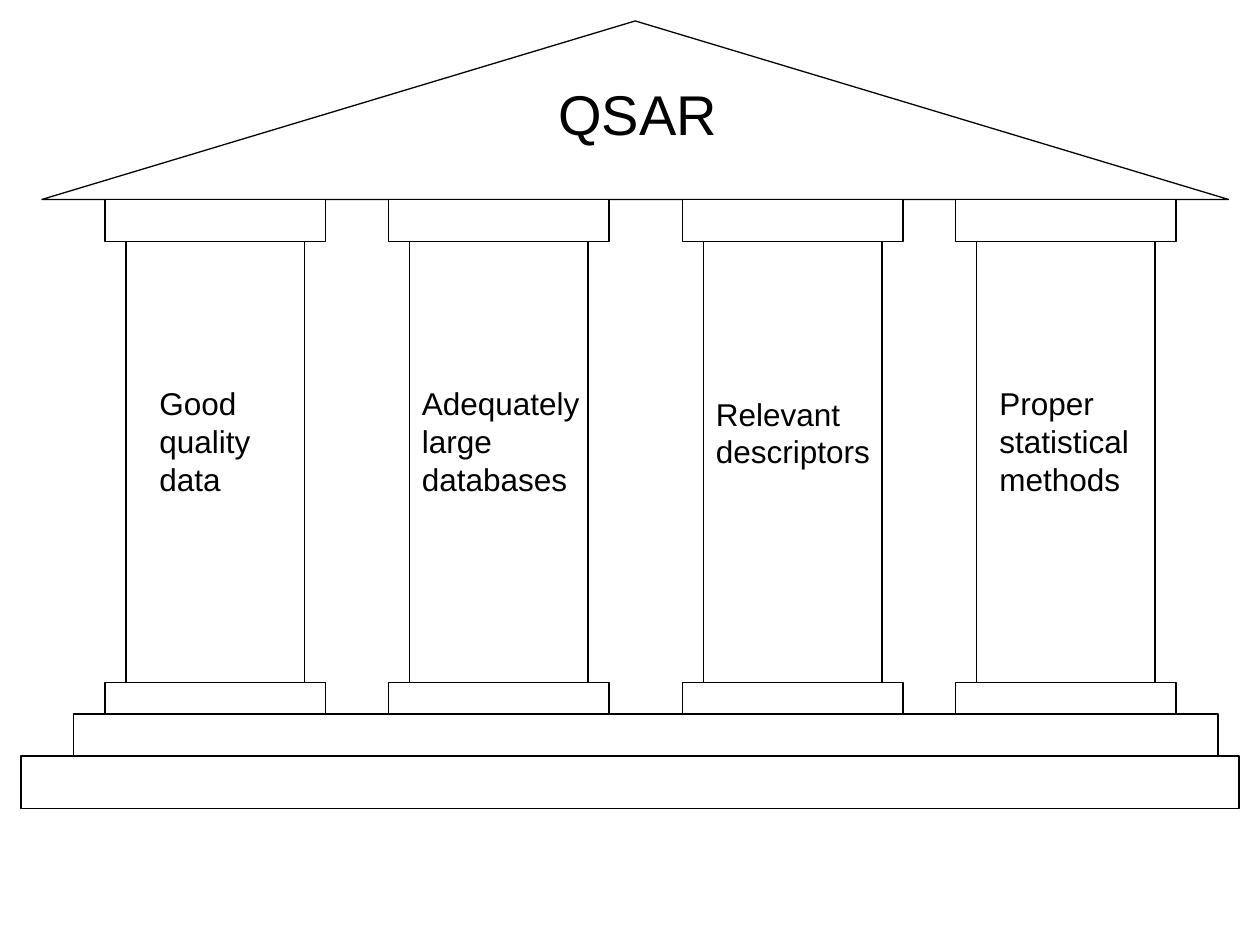
from dataclasses import dataclass

from pptx import Presentation
from pptx.dml.color import RGBColor as RGB
from pptx.enum.shapes import MSO_SHAPE as Kind
from pptx.enum.text import MSO_AUTO_SIZE as Fit
from pptx.util import Inches, Pt


@dataclass(frozen=True)
class Theme:
    ink: RGB = RGB(0, 0, 0)
    paper: RGB = RGB(255, 255, 255)
    font: str = "Arial"
    title: int = 32
    label: int = 18
    line: float = 0.75


class Temple:
    """Draws on a grid of 120 columns by 90 rows, 12 cells to the inch."""

    def __init__(self, slide, theme):
        self.slide = slide
        self.theme = theme

    def grid(self, *cells):
        return [Inches(cell / 12) for cell in cells]

    def block(self, x, y, w, h, kind=Kind.RECTANGLE):
        shape = self.slide.shapes.add_shape(kind, *self.grid(x, y, w, h))
        shape.shadow.inherit = False
        shape.fill.solid()
        shape.fill.fore_color.rgb = self.theme.paper
        shape.line.color.rgb = self.theme.ink
        shape.line.width = Pt(self.theme.line)

    def text(self, words, size, x, y, w, h):
        box = self.slide.shapes.add_textbox(*self.grid(x, y, w, h))
        frame = box.text_frame
        frame.word_wrap = True
        frame.auto_size = Fit.SHAPE_TO_FIT_TEXT
        frame.text = words
        for run in frame.paragraphs[0].runs:
            run.font.name = self.theme.font
            run.font.size = Pt(size)
            run.font.color.rgb = self.theme.ink

    def pillar(self, x, words, inset, top, w, h):
        self.block(x, 19, 21, 4)
        self.block(x + 2, 23, 17, 42)
        self.block(x, 65, 21, 4)
        self.text(words, self.theme.label, x + inset, top, w, h)


# Pillars: left edge, words, then label inset, top, width and height
PILLARS = [
    (10, "Good quality data", 4, 36, 13, 12),
    (37, "Adequately large databases", 2, 36, 18, 12),
    (65, "Relevant\vdescriptors", 2, 37, 18, 8.4),
    (91, "Proper statistical methods", 3, 36, 18, 12),
]


def main():
    deck = Presentation()
    deck.slide_width, deck.slide_height = Inches(10), Inches(7.5)
    theme = Theme()
    temple = Temple(deck.slides.add_slide(deck.slide_layouts[6]), theme)

    # Roof
    temple.block(4, 2, 113, 17, Kind.ISOSCELES_TRIANGLE)
    temple.text("QSAR", theme.title, 52, 7, 19, 7.6)

    # Pillars
    for pillar in PILLARS:
        temple.pillar(*pillar)

    # Steps
    temple.block(7, 68, 109, 5)
    temple.block(2, 72, 116, 5)

    deck.save("out.pptx")


if __name__ == "__main__":
    main()
